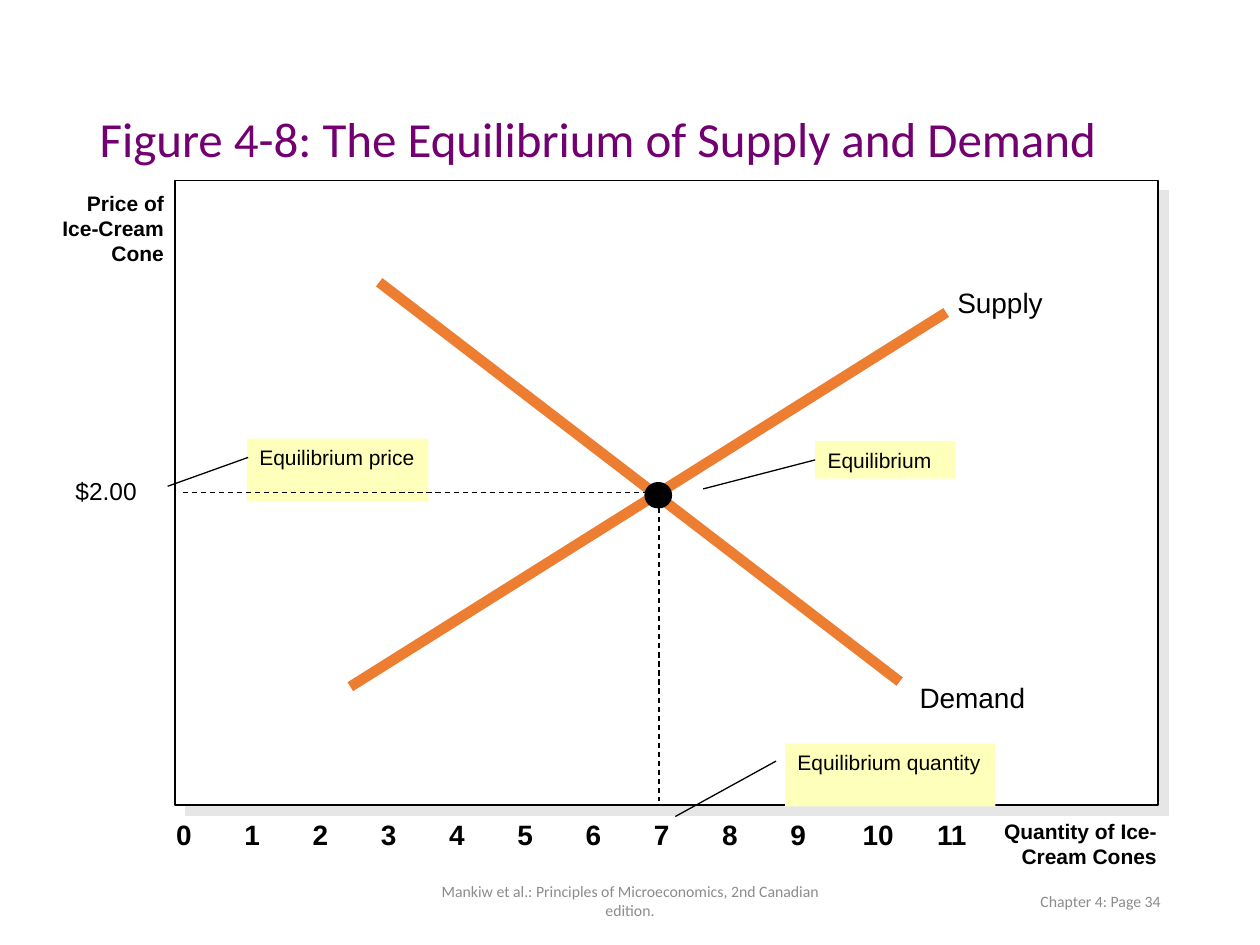
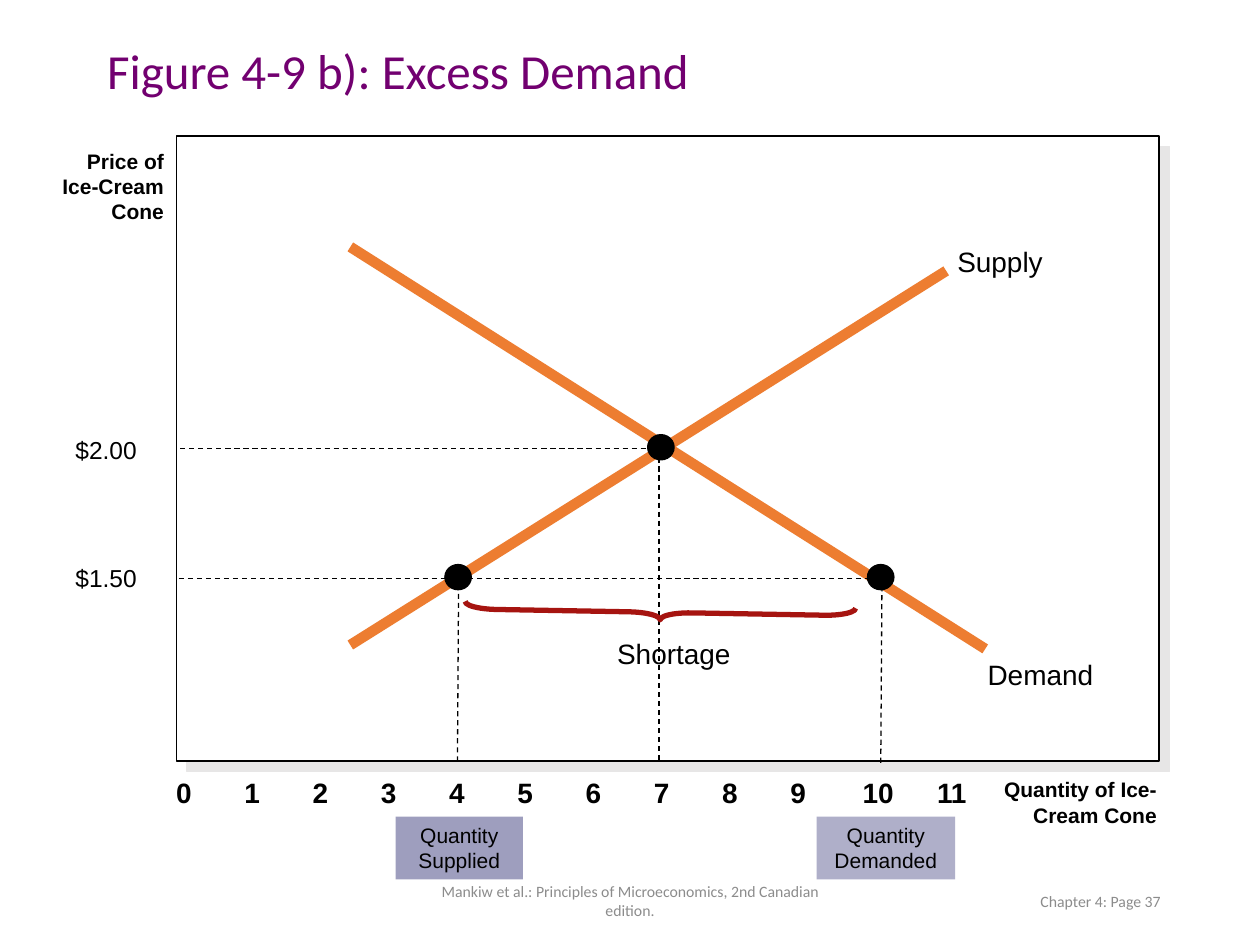
from typing import NamedTuple

from lxml.etree import SubElement
from pptx import Presentation
from pptx.dml.color import RGBColor
from pptx.enum.dml import MSO_LINE
from pptx.enum.shapes import MSO_CONNECTOR, MSO_SHAPE
from pptx.enum.text import MSO_ANCHOR, MSO_AUTO_SIZE, PP_ALIGN
from pptx.oxml.ns import qn
from pptx.util import Pt

HUES = {
    "title": "720070", "foot": "8C8C8C", "ink": "000000", "paper": "FFFFFF",
    "shade": "E7E6E6", "note": "FEFFBA", "curve": "ED7D31", "brace": "A61410",
    "tag": "666699",
}
SOURCE = "Mankiw et al.: Principles of Microeconomics, 2nd Canadian edition."
LEFT, MID, RIGHT = PP_ALIGN.LEFT, PP_ALIGN.CENTER, PP_ALIGN.RIGHT
TICK_GAP = 39
TICK_ENDS = [116.6 + TICK_GAP * n for n in range(10)] + [517.7, 559.4]
DROP = 23.8  # how much higher the second plot sits


class Box(NamedTuple):
    x: float
    y: float
    w: float
    h: float


class Line(NamedTuple):
    x1: float
    y1: float
    x2: float
    y2: float


class Label(NamedTuple):
    text: str
    box: Box
    size: float


class Note(NamedTuple):
    text: str
    box: Box
    lead: Line
    joined: bool = False


class Tag(NamedTuple):
    text: str
    box: Box
    alpha: int


def hue(name: str) -> RGBColor:
    return RGBColor.from_string(HUES[name])


def points(box: Box) -> list:
    return [Pt(v) for v in box]


def write(shape, text: str, size: float = 12, color: str = "ink",
          font: str = "Arial", bold: bool = False, align=LEFT,
          anchor=MSO_ANCHOR.TOP, spacing: float = 1.0) -> None:
    frame = shape.text_frame
    frame.word_wrap = True
    frame.auto_size = MSO_AUTO_SIZE.NONE
    frame.vertical_anchor = anchor
    frame.text = text
    para = frame.paragraphs[0]
    para.alignment = align
    para.line_spacing = spacing
    face = para.runs[0].font
    face.name, face.size, face.bold = font, Pt(size), bold
    face.color.rgb = hue(color)


def add_text(slide, text: str, box: Box, **style) -> None:
    write(slide.shapes.add_textbox(*points(box)), text, **style)


def add_form(slide, kind, box: Box, fill: str = "", line: str = "",
             width: float = 0.75):
    form = slide.shapes.add_shape(kind, *points(box))
    form.shadow.inherit = False
    if fill:
        form.fill.solid()
        form.fill.fore_color.rgb = hue(fill)
    else:
        form.fill.background()
    if line:
        form.line.color.rgb = hue(line)
        form.line.width = Pt(width)
    else:
        form.line.fill.background()
    return form


def add_line(slide, ends: Line, color: str = "ink", width: float = 0.75,
             dash: bool = False):
    line = slide.shapes.add_connector(
        MSO_CONNECTOR.STRAIGHT, *[Pt(v) for v in ends])
    line.line.color.rgb = hue(color)
    line.line.width = Pt(width)
    if dash:
        line.line.dash_style = MSO_LINE.DASH
    SubElement(line.element.spPr, qn("a:effectLst"))
    return line


def add_dash(slide, *ends: float) -> None:
    add_line(slide, Line(*ends), dash=True)


def add_dot(slide, x: float, y: float) -> None:
    add_form(slide, MSO_SHAPE.OVAL, Box(x, y, 15.1, 14.4), "ink", "ink")


def add_label(slide, label: Label) -> None:
    add_text(slide, label.text, label.box, size=label.size)


def add_curve(slide, ends: Line, label: Label) -> None:
    add_line(slide, ends, "curve", 6)
    add_label(slide, label)


def add_note(slide, note: Note) -> None:
    form = add_form(slide, MSO_SHAPE.RECTANGLE, note.box, "note")
    write(form, note.text)
    lead = add_line(slide, note.lead)
    if note.joined:
        lead.begin_connect(form, 1)


def add_tag(slide, tag: Tag) -> None:
    form = add_form(slide, MSO_SHAPE.RECTANGLE, tag.box, "tag")
    color = form.element.spPr.find(qn("a:solidFill"))[0]
    SubElement(color, qn("a:alpha"), val=str(tag.alpha * 1000))
    write(form, tag.text, align=MID)


def add_frame(slide, x: float, y: float) -> None:
    """Draw the plot area with a hard shadow at lower right."""
    form = add_form(slide, MSO_SHAPE.RECTANGLE, Box(x, y, 561.6, 357.1),
                    "paper", "ink")
    effects = form.element.spPr.find(qn("a:effectLst"))
    shade = SubElement(effects, qn("a:outerShdw"), dist=str(Pt(8.5)),
                       dir="2700000", algn="ctr", rotWithShape="0")
    SubElement(shade, qn("a:srgbClr"), val=HUES["shade"])


def add_axes(slide, amount: str, rise: float) -> None:
    for n, end in enumerate(TICK_ENDS):
        add_text(slide, str(n), Box(end - 42, 463.7 - rise, 42, 26.6),
                 size=16, bold=True, align=RIGHT)
    add_text(slide, amount, Box(553, 464.2 - rise, 115.2, 36),
             bold=True, align=RIGHT)
    add_text(slide, "Price of Ice-Cream Cone",
             Box(19.4, 105.1 - rise, 81.4, 50.4), bold=True, align=RIGHT)


def add_supply(slide, rise: float) -> None:
    add_curve(slide, Line(200.2, 392.4 - rise, 540.7, 178.6 - rise),
              Label("Supply", Box(540, 159.8 - rise, 84.2, 26.6), 16))


def add_price(slide, text: str, y: float) -> None:
    add_label(slide, Label(text, Box(36, y, 64.1, 23.8), 14))


def add_brace(slide) -> None:
    brace = add_form(slide, MSO_SHAPE.LEFT_BRACE,
                     Box(373, 238.3, 8.6, 223.2), line="brace", width=3)
    brace.adjustments[0] = 2.09
    brace.rotation = 271
    brace.element.spPr.find(qn("a:xfrm")).set("flipV", "1")


def start(deck, title: str, box: Box, page: int):
    """Add a slide with its title and footers."""
    slide = deck.slides.add_slide(deck.slide_layouts[5])
    head = slide.shapes.title
    head.left, head.top, head.width, head.height = points(box)
    write(head, title, size=28, color="title", font="Calibri",
          anchor=MSO_ANCHOR.MIDDLE, spacing=0.9)
    for text, x, w, align in ((SOURCE, 238.3, 243.4, MID),
                              (f"Chapter 4: Page {page}", 508.3, 162, RIGHT)):
        add_text(slide, text, Box(x, 500.4, w, 28.8), size=9, color="foot",
                 font="Calibri", align=align, anchor=MSO_ANCHOR.MIDDLE)
    return slide


def draw_balance(deck) -> None:
    slide = start(deck, "Figure 4-8: The Equilibrium of Supply and Demand",
                  Box(49.7, 28.8, 620.6, 104.4), 34)
    add_frame(slide, 100.1, 103)
    add_note(slide, Note("Equilibrium price", Box(141.1, 250.6, 103.7, 36),
                         Line(141.8, 261.4, 95.8, 277.9)))
    add_curve(slide, Line(216.7, 161.3, 514.1, 389.5),
              Label("Demand", Box(518.4, 385.2, 84.2, 26.6), 16))
    add_supply(slide, 0)
    add_dash(slide, 104.4, 281.5, 372.2, 281.5)
    add_dash(slide, 376.6, 285.1, 376.6, 457.9)
    add_price(slide, "$2.00", 268.6)
    add_dot(slide, 368.6, 275.8)
    add_note(slide, Note("Equilibrium", Box(465.8, 252, 79.9, 21.6),
                         Line(465.8, 261.4, 401.8, 279.4), joined=True))
    add_note(slide, Note("Equilibrium quantity", Box(448.6, 424.8, 120.2, 36),
                         Line(443.5, 434.9, 385.9, 466.6)))
    add_axes(slide, "Quantity of Ice-Cream Cones", 0)


def draw_shortage(deck) -> None:
    slide = start(deck, "Figure 4-9 b): Excess Demand",
                  Box(54, 18, 612, 48.2), 37)
    add_frame(slide, 100.8, 77.8)
    add_curve(slide, Line(200.2, 141.1, 563, 370.8),
              Label("Demand", Box(557.3, 372.2, 84.2, 26.6), 16))
    add_supply(slide, DROP)
    add_dash(slide, 103, 256.3, 370.1, 256.3)
    add_dash(slide, 376.6, 261.4, 376.6, 434.2)
    add_price(slide, "$2.00", 268.6 - DROP)
    add_dot(slide, 370.1, 248.4)
    add_axes(slide, "Quantity of Ice-Cream Cone", DROP)
    add_dash(slide, 102.2, 330.5, 498.2, 330.5)
    add_price(slide, "$1.50", 318.2)
    add_brace(slide)
    add_label(slide, Label("Shortage", Box(345.6, 360, 83.5, 26.6), 16))
    add_dash(slide, 262.1, 329, 261.4, 436.3)
    add_dash(slide, 504, 329.8, 503.3, 437)
    for x in (254.2, 495.7):
        add_dot(slide, x, 322.6)
    for tag in (Tag("Quantity Supplied", Box(226.1, 466.6, 72.7, 36), 63),
                Tag("Quantity Demanded", Box(466.6, 466.6, 79.2, 36), 52)):
        add_tag(slide, tag)


def main() -> None:
    deck = Presentation()
    deck.slide_width, deck.slide_height = Pt(720), Pt(540)
    draw_balance(deck)
    draw_shortage(deck)
    deck.save("out.pptx")


if __name__ == "__main__":
    main()
